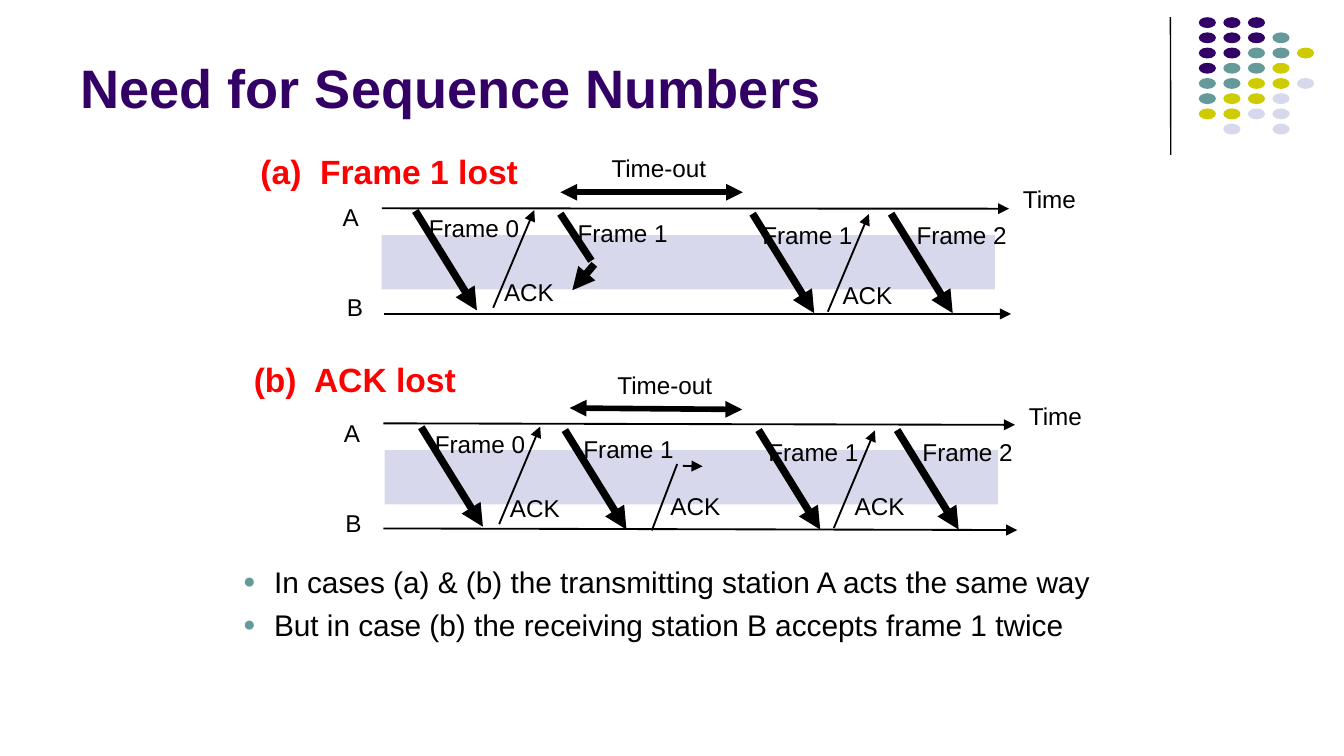
import dataclasses

import pptx
import pptx.dml.color
import pptx.enum.shapes
import pptx.enum.text
import pptx.oxml
import pptx.oxml.ns
import pptx.util

Pt = pptx.util.Pt
Shape = pptx.enum.shapes.MSO_SHAPE
Anchor = pptx.enum.text.MSO_ANCHOR


@dataclasses.dataclass(frozen=True)
class Theme:
    font: str = "Arial"
    title_size: float = 29
    heading_size: float = 18
    body_size: float = 16
    label_size: float = 13
    ink: str = "000000"
    purple: str = "330066"
    teal: str = "669999"
    olive: str = "CCCC00"
    lavender: str = "D8D8EC"
    red: str = "FF0000"
    thin: float = 1
    medium: float = 3
    thick: float = 4


THEME = Theme()
INSETS = (5, 3)
LABEL_HEIGHT = 20.9
LABEL_WIDTHS = {" A": 23, " B": 23, "A": 19.4, "B": 19.4, "ACK": 37.4,
                "Time": 39.6, "Time-out": 62, "Frame 0": 63,
                "Frame 1": 63, "Frame 2": 63}

DOT_ROWS = ["PPP", "PPPT", "PPTTO", "PTTO", "TTOOL", "TOOL", "OOLL", " L L"]
DOT_COLORS = {"P": THEME.purple, "T": THEME.teal,
              "O": THEME.olive, "L": THEME.lavender}

FRAME_STEP = (33, 53.3)
ACK_STEP = (22, -52.3)
FRAME_STARTS = [(222.5, 113), (403.2, 114.5), (477.4, 114.5)]
ACK_STARTS = [(264.2, 164.9), (443.5, 167)]
COMMON_LABELS = [("Frame 0", 224.8, 111), ("Frame 1", 304.4, 113.8),
                 ("ACK", 265, 145.4), ("Frame 1", 403.4, 115.2),
                 ("Time", 543, 95.8), ("Time-out", 322.6, 79.2),
                 ("Frame 2", 486, 115.2)]

FRAME_LOST = {
    "shift": (0, 0),
    "heading": ("(a)  Frame 1 lost", 134.6, 77.8, 149),
    "band": (204.4, 126),
    "axes": [(204.6, 111.6, 540.6, 111.8), (205.9, 168.2, 541.6, 168.2)],
    "time_out": (300.2, 103, 398, 103),
    "labels": [(" A", 175.7, 105.1), (" B", 177.2, 153.4), ("ACK", 446.4, 146.9)],
    "lines": [(300.2, 114.5, 316.8, 139.7, THEME.thick, False),
              (318.4, 141.6, 306.6, 155.5, THEME.thick, True)],
}
ACK_LOST = {
    "shift": (3.2, 115.9),
    "heading": ("(b)  ACK lost", 131, 189.4, 119.5),
    "band": (206.1, 241.2),
    "axes": [(205.4, 226.8, 543.8, 227.6), (205.4, 283.1, 545, 284)],
    "time_out": (305.2, 218.6, 397.6, 219.4),
    "labels": [("A", 179.3, 221), ("B", 180, 269.3),
               ("ACK", 354.2, 259.9), ("ACK", 452.9, 259.9)],
    "lines": [(302.6, 230.4, 335.6, 283.7, THEME.thick, True),
              (349.2, 284.2, 362.8, 248.6, THEME.thin, False),
              (365.8, 249.6, 376.4, 249.8, THEME.thin, True)],
}


def rgb(color):
    return pptx.dml.color.RGBColor.from_string(color)


def apply_format(target, values):
    for name, value in values.items():
        setattr(target, name, value)


def add_element(parent, tag, **attributes):
    element = pptx.oxml.ns.qn(tag)
    child = parent.makeelement(element, attributes)
    parent.append(child)
    return child


def add_fill_shape(shapes, kind, box, color):
    shape = shapes.add_shape(kind, *map(Pt, box))
    shape.shadow.inherit = False
    shape.fill.solid()
    shape.fill.fore_color.rgb = rgb(color)
    shape.line.fill.background()


def add_line(shapes, points, width, tail=False, head=False):
    connector = shapes.add_connector(
        pptx.enum.shapes.MSO_CONNECTOR.STRAIGHT, *map(Pt, points))
    connector.line.width = Pt(width)
    connector.line.color.rgb = rgb(THEME.ink)
    outline = connector.line._get_or_add_ln()
    for tag, present in (("a:headEnd", head), ("a:tailEnd", tail)):
        if present:
            add_element(outline, tag, type="triangle")
    add_element(connector._element.spPr, "a:effectLst")


def add_text(shapes, lines, box, size, color, bold=False, wrap=False,
             insets=INSETS, anchor=Anchor.TOP):
    frame = shapes.add_textbox(*map(Pt, box)).text_frame
    side, edge = map(Pt, insets)
    apply_format(frame, {"word_wrap": wrap, "vertical_anchor": anchor,
                         "margin_left": side, "margin_right": side,
                         "margin_top": edge, "margin_bottom": edge})
    frame.text = "\n".join(lines)
    for paragraph in frame.paragraphs:
        font = paragraph.runs[0].font
        apply_format(font, {"name": THEME.font, "size": Pt(size), "bold": bold})
        font.color.rgb = rgb(color)
    return frame


def add_label(shapes, text, left, top):
    add_text(shapes, [text], (left, top, LABEL_WIDTHS[text], LABEL_HEIGHT),
             THEME.label_size, THEME.ink)


def add_bullets(shapes, lines, box):
    frame = add_text(shapes, lines, box, THEME.body_size, THEME.ink, wrap=True)
    for paragraph in frame.paragraphs:
        paragraph.space_before = Pt(4)
        properties = paragraph._p.get_or_add_pPr()
        properties.set("marL", str(Pt(43.9)))
        properties.set("indent", str(Pt(-16.6)))
        bullet_color = add_element(properties, "a:buClr")
        add_element(bullet_color, "a:srgbClr", val=THEME.teal)
        add_element(properties, "a:buSzPct", val="70000")
        add_element(properties, "a:buFont", typeface=THEME.font)
        add_element(properties, "a:buChar", char="●")


def add_dots(shapes):
    for row, marks in enumerate(DOT_ROWS):
        for column, mark in enumerate(marks):
            if mark in DOT_COLORS:
                box = (642.2 + 13.15 * column, 9.2 + 8.15 * row, 9.2, 5.8)
                add_fill_shape(shapes, Shape.OVAL, box, DOT_COLORS[mark])


def add_panel(shapes, panel):
    shift_x, shift_y = panel["shift"]
    heading, left, top, width = panel["heading"]
    add_fill_shape(shapes, Shape.RECTANGLE, (*panel["band"], 328.6, 29),
                   THEME.lavender)
    add_text(shapes, [heading], (left, top, width, 26.6),
             THEME.heading_size, THEME.red, bold=True)
    for axis in panel["axes"]:
        add_line(shapes, axis, THEME.thin, tail=True)
    add_line(shapes, panel["time_out"], THEME.medium, tail=True, head=True)
    for starts, step, weight in ((FRAME_STARTS, FRAME_STEP, THEME.thick),
                                 (ACK_STARTS, ACK_STEP, THEME.thin)):
        for start_x, start_y in starts:
            x, y = start_x + shift_x, start_y + shift_y
            add_line(shapes, (x, y, x + step[0], y + step[1]), weight, tail=True)
    for *points, weight, tail in panel["lines"]:
        add_line(shapes, points, weight, tail)
    for text, x, y in COMMON_LABELS:
        add_label(shapes, text, x + shift_x, y + shift_y)
    for label in panel["labels"]:
        add_label(shapes, *label)


def main():
    presentation = pptx.Presentation()
    apply_format(presentation, {"slide_width": Pt(720), "slide_height": Pt(405)})
    slide = presentation.slides.add_slide(presentation.slide_layouts[6])
    shapes = slide.shapes
    add_line(shapes, (627, 9.2, 627.2, 83), 0.75)
    add_dots(shapes.add_group_shape().shapes)
    add_bullets(shapes, [
        "In cases (a) & (b) the transmitting station A acts the same way",
        "But in case (b) the receiving station B accepts frame 1 twice",
    ], (97.9, 298.8, 522, 65.5))
    add_text(shapes, ["Need for Sequence Numbers"], (36, 7.2, 594, 60.5),
             THEME.title_size, THEME.purple, bold=True, wrap=True,
             insets=(7.2, 3.6), anchor=Anchor.BOTTOM)
    for panel in (FRAME_LOST, ACK_LOST):
        add_panel(shapes.add_group_shape().shapes, panel)
    presentation.save("out.pptx")


if __name__ == "__main__":
    main()
